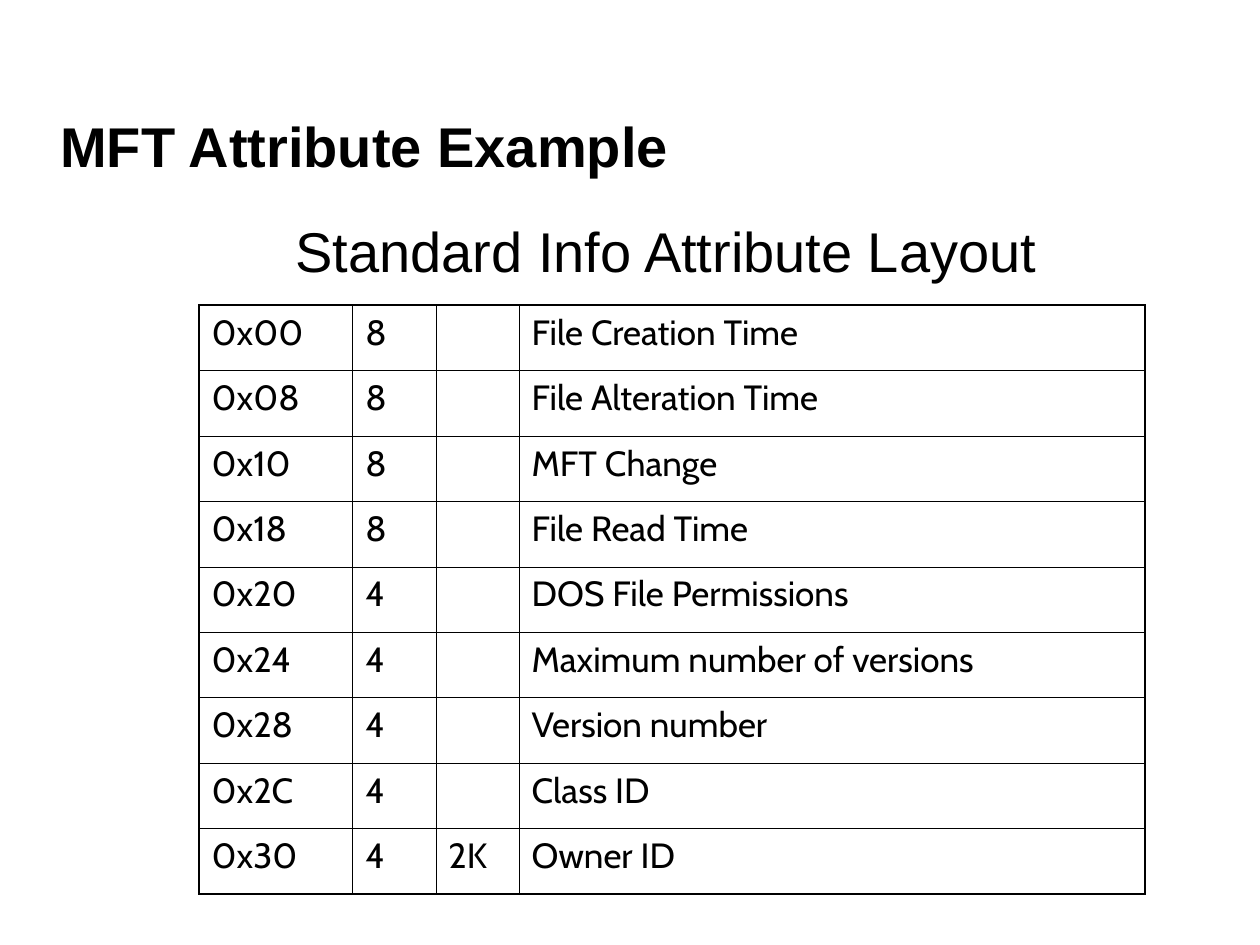
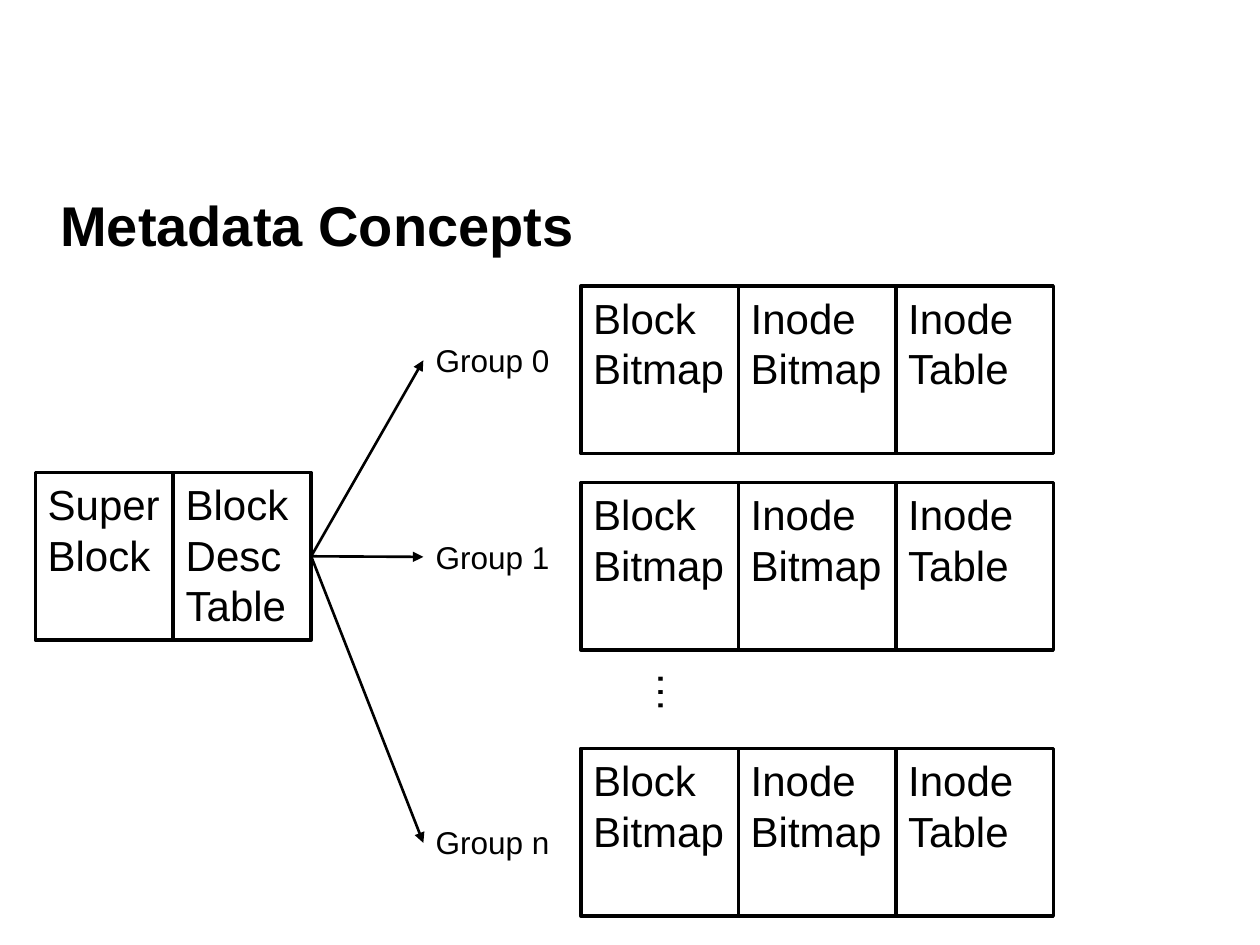
import pptx
import pptx.util
import pptx.dml.color
import pptx.enum.shapes
import pptx.enum.text
import pptx.oxml.ns
import lxml.etree

Inches, Pt = pptx.util.Inches, pptx.util.Pt
RGB = pptx.dml.color.RGBColor
ALIGN = pptx.enum.text.PP_ALIGN
ANCHOR = pptx.enum.text.MSO_ANCHOR
qn = pptx.oxml.ns.qn

# Content
ATTRIBUTE_TITLE = "MFT Attribute Example"
TABLE_CAPTION = "Standard Info Attribute Layout"
FIELDS = [
    ("0x00", "8", "", "File Creation Time"),
    ("0x08", "8", "", "File Alteration Time"),
    ("0x10", "8", "", "MFT Change"),
    ("0x18", "8", "", "File Read Time"),
    ("0x20", "4", "", "DOS File Permissions"),
    ("0x24", "4", "", "Maximum number of versions"),
    ("0x28", "4", "", "Version number"),
    ("0x2C", "4", "", "Class ID"),
    ("0x30", "4", "2K", "Owner ID"),
]
METADATA_TITLE = "Metadata Concepts"
HEAD_BLOCKS = ["Super Block", "Block Desc Table"]
GROUP_BLOCKS = ["Block Bitmap", "Inode Bitmap", "Inode Table"]
# name, top of blocks, top of label, height of the arrow tip
GROUPS = [
    ("Group 0", 2.27, 2.66, 2.86),
    ("Group 1", 3.83, 4.22, 4.42),
    ("Group n", 5.94, 6.48, 6.69),
]

# Theme
THEME = {
    "ink": RGB(0, 0, 0),
    "paper": RGB(255, 255, 255),
    "title": {"name": "Arial", "size": Pt(32), "bold": True},
    "caption": {"name": "Arial", "size": Pt(32)},
    "cell": {"name": "Cabin", "size": Pt(20)},
    "block": {"name": "Arial", "size": Pt(24)},
    "label": {"name": "Arial", "size": Pt(18)},
    "outline": Pt(2),
    "arrow": Pt(1.5),
    "outer": Pt(1.08),
    "inner": Pt(0.45),
}

# Layout, in inches
COLUMNS = [1.22, 0.66, 0.66, 4.97]
ROW_H = 0.52
BLOCK_H = 1.33
HEAD_X, HEAD_Y, HEAD_W = 0.28, 3.75, 1.095
LABEL_X, GROUP_X, GROUP_W = 3.36, 4.61, 1.25


def write(tf, text, style, before=0, align=ALIGN.LEFT):
    p = tf.paragraphs[0]
    p.alignment = align
    p.space_before = Pt(before)
    r = p.add_run()
    r.text = text
    for key, value in THEME[style].items():
        setattr(r.font, key, value)
    r.font.color.rgb = THEME["ink"]


def add_text(slide, box, text, style, anchor=ANCHOR.TOP, **paragraph):
    sp = slide.shapes.add_textbox(*map(Inches, box))
    tf = sp.text_frame
    tf.word_wrap = True
    tf.vertical_anchor = anchor
    write(tf, text, style, **paragraph)
    return sp


def add_slide(title, top):
    slide = prs.slides.add_slide(prs.slide_layouts[6])
    slide.background.fill.solid()
    slide.background.fill.fore_color.rgb = THEME["paper"]
    add_text(slide, (0.38, top, 9.24, 0.76), title, "title", ANCHOR.MIDDLE)
    return slide


def add_blocks(slide, names, left, top, width):
    for i, name in enumerate(names):
        box = (left + i * width, top, width, BLOCK_H)
        sp = slide.shapes.add_shape(pptx.enum.shapes.MSO_SHAPE.RECTANGLE,
                                    *map(Inches, box))
        sp.shadow.inherit = False
        sp.fill.solid()
        sp.fill.fore_color.rgb = THEME["paper"]
        sp.line.color.rgb = THEME["ink"]
        sp.line.width = THEME["outline"]
        tf = sp.text_frame
        tf.word_wrap = True
        tf.vertical_anchor = ANCHOR.TOP
        write(tf, name, "block")


def add_arrow(slide, start, end):
    line = slide.shapes.add_connector(pptx.enum.shapes.MSO_CONNECTOR.STRAIGHT,
                                      *map(Inches, start + end))
    line.line.color.rgb = THEME["ink"]
    line.line.width = THEME["arrow"]
    ln = line.line._get_or_add_ln()
    lxml.etree.SubElement(ln, qn("a:tailEnd"), type="triangle")
    lxml.etree.SubElement(line._element.spPr, qn("a:effectLst"))


def set_borders(cell, edges):
    tc_pr = cell._tc.get_or_add_tcPr()
    for side in "LRTB":
        width = THEME["outer" if side in edges else "inner"]
        ln = lxml.etree.SubElement(tc_pr, qn("a:ln" + side), w=str(int(width)))
        fill = lxml.etree.SubElement(ln, qn("a:solidFill"))
        lxml.etree.SubElement(fill, qn("a:srgbClr"), val=str(THEME["ink"]))


prs = pptx.Presentation()
prs.slide_width, prs.slide_height = Inches(10), Inches(7.5)

# Slide 1: attribute table, heavier line round the outside
slide = add_slide(ATTRIBUTE_TITLE, 0.77)
n_rows, n_cols = len(FIELDS), len(COLUMNS)
frame = slide.shapes.add_table(n_rows, n_cols, Inches(1.58), Inches(2.42),
                               Inches(sum(COLUMNS)), Inches(n_rows * ROW_H))
table = frame.table
table.first_row = table.horz_banding = False
for column, width in zip(table.columns, COLUMNS):
    column.width = Inches(width)
for i, field in enumerate(FIELDS):
    table.rows[i].height = Inches(ROW_H)
    for j, text in enumerate(field):
        cell = table.cell(i, j)
        outside = {"L": j == 0, "R": j == n_cols - 1,
                   "T": i == 0, "B": i == n_rows - 1}
        set_borders(cell, [side for side, on in outside.items() if on])
        cell.fill.background()
        if text:
            write(cell.text_frame, text, "cell", before=5)
add_text(slide, (1.08, 1.67, 8.42, 0.64), TABLE_CAPTION, "caption",
         before=20, align=ALIGN.CENTER)

# Slide 2: descriptor table pointing at the block groups
slide = add_slide(METADATA_TITLE, 1.4)
add_blocks(slide, HEAD_BLOCKS, HEAD_X, HEAD_Y, HEAD_W)
origin = (HEAD_X + len(HEAD_BLOCKS) * HEAD_W, HEAD_Y + BLOCK_H / 2)
for name, top, label_top, tip in GROUPS:
    add_blocks(slide, GROUP_BLOCKS, GROUP_X, top, GROUP_W)
    add_text(slide, (LABEL_X, label_top, GROUP_W, 0.4), name, "label")
    add_arrow(slide, origin, (LABEL_X, tip))

# Vertical ellipsis between the groups
sp = add_text(slide, (5.01, 5.23, 0.6, 0.63), "…", "block")
tf = sp.text_frame
tf.margin_left = tf.margin_right = Inches(0.05)
tf.margin_top = tf.margin_bottom = Inches(0.1)
sp._element.txBody.bodyPr.set("vert", "eaVert")

prs.save("out.pptx")
